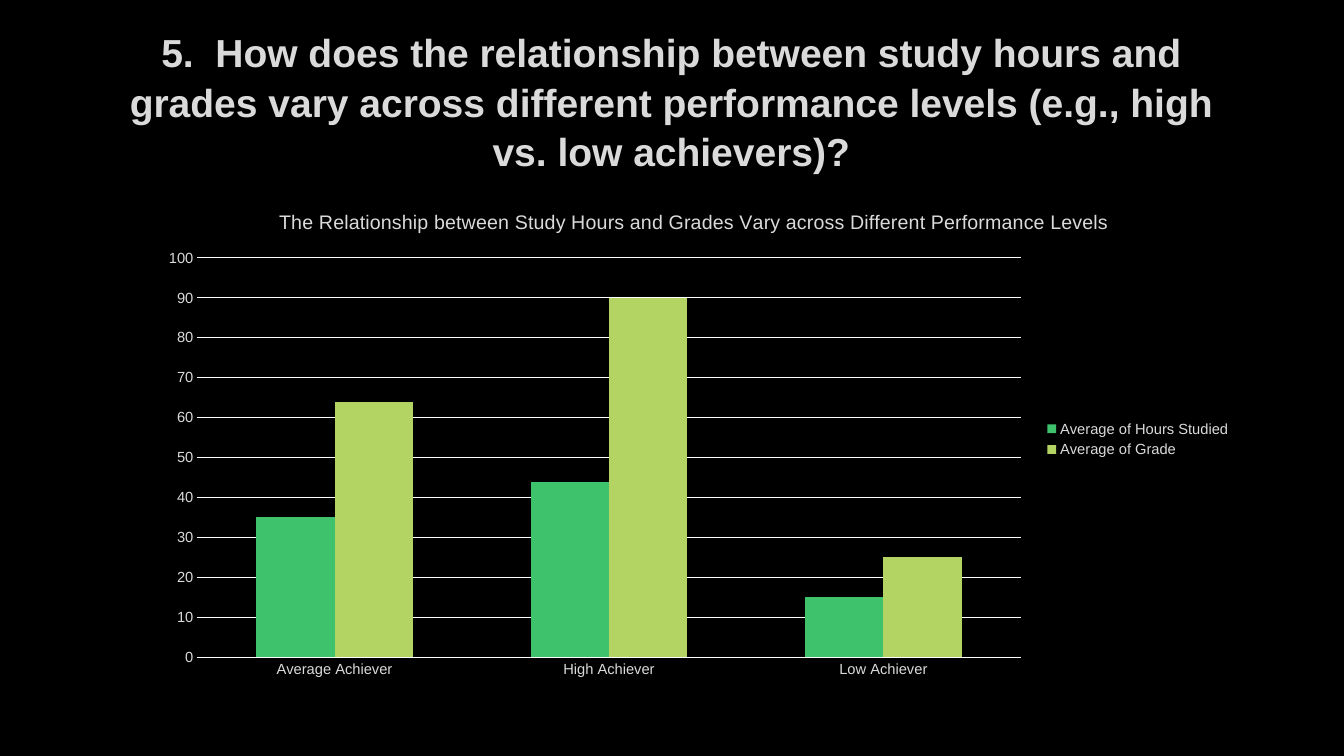
import pptx
import pptx.chart.data
import pptx.dml.color
import pptx.enum.chart
import pptx.enum.text
import pptx.util

Pt = pptx.util.Pt
FACE = "Arial"
PALE = "DADADA"


def tint(code):
    return pptx.dml.color.RGBColor.from_string(code)


def style(font, size, bold=False, color=PALE):
    font.name = FACE
    font.size = Pt(size)
    font.bold = bold
    font.color.rgb = tint(color)


def write(frame, text, size, bold=False, color=PALE, gap=None):
    para = frame.paragraphs[0]
    para.alignment = pptx.enum.text.PP_ALIGN.CENTER
    para.line_spacing = gap
    run = para.add_run()
    run.text = text
    style(run.font, size, bold, color)


def add_head(slide, text, left, top, width, height):
    box = slide.shapes.add_textbox(Pt(left), Pt(top), Pt(width), Pt(height))
    frame = box.text_frame
    frame.word_wrap = True
    frame.vertical_anchor = pptx.enum.text.MSO_ANCHOR.MIDDLE
    # The deep lower inset lifts the three lines clear of the chart
    frame.margin_top = 0
    frame.margin_bottom = Pt(41)
    write(frame, text, 27.9, bold=True, gap=1.05)


def set_axis(axis):
    axis.major_tick_mark = pptx.enum.chart.XL_TICK_MARK.NONE
    axis.minor_tick_mark = pptx.enum.chart.XL_TICK_MARK.NONE
    axis.format.line.fill.background()
    style(axis.tick_labels.font, 10.5)


def add_bars(slide, title, names, rows, left, top, width, height):
    data = pptx.chart.data.CategoryChartData()
    data.categories = names
    for name, values, _ in rows:
        data.add_series(name, values)
    chart = slide.shapes.add_chart(
        pptx.enum.chart.XL_CHART_TYPE.COLUMN_CLUSTERED,
        Pt(left), Pt(top), Pt(width), Pt(height), data).chart
    style(chart.font, 10.5)

    # Title and legend
    chart.has_title = True
    write(chart.chart_title.text_frame, title, 14)
    chart.chart_title.include_in_layout = False
    chart.has_legend = True
    chart.legend.position = pptx.enum.chart.XL_LEGEND_POSITION.RIGHT
    chart.legend.include_in_layout = False
    style(chart.legend.font, 10.5)

    # Axes and grid
    set_axis(chart.category_axis)
    scale = chart.value_axis
    set_axis(scale)
    scale.minimum_scale, scale.maximum_scale, scale.major_unit = 0, 100, 10
    scale.has_major_gridlines = True
    grid = scale.major_gridlines.format.line
    grid.color.rgb = tint("FFFFFF")
    grid.width = Pt(0.75)

    # Columns
    plot = chart.plots[0]
    plot.vary_by_categories = False
    plot.gap_width = 150
    plot.overlap = 0
    for bar, (_, _, color) in zip(plot.series, rows):
        bar.format.fill.solid()
        bar.format.fill.fore_color.rgb = tint(color)


def main():
    deck = pptx.Presentation()
    deck.slide_width, deck.slide_height = Pt(960), Pt(540)
    slide = deck.slides.add_slide(deck.slide_layouts[6])
    slide.background.fill.solid()
    slide.background.fill.fore_color.rgb = tint("000000")

    # Question
    add_head(slide, "5.  How does the relationship between study hours and "
             "grades vary across different performance levels "
             "(e.g., high vs. low achievers)?", 72, 48, 815, 88.5)

    # Averages by level
    add_bars(slide, "The Relationship between Study Hours and Grades Vary "
             "across Different Performance Levels",
             ["Average Achiever", "High Achiever", "Low Achiever"],
             [("Average of Hours Studied", (35, 44, 15), "3EC26C"),
              ("Average of Grade", (64, 90, 25), "B3D463")],
             105, 136, 782, 355.5)

    deck.save("out.pptx")


if __name__ == "__main__":
    main()
